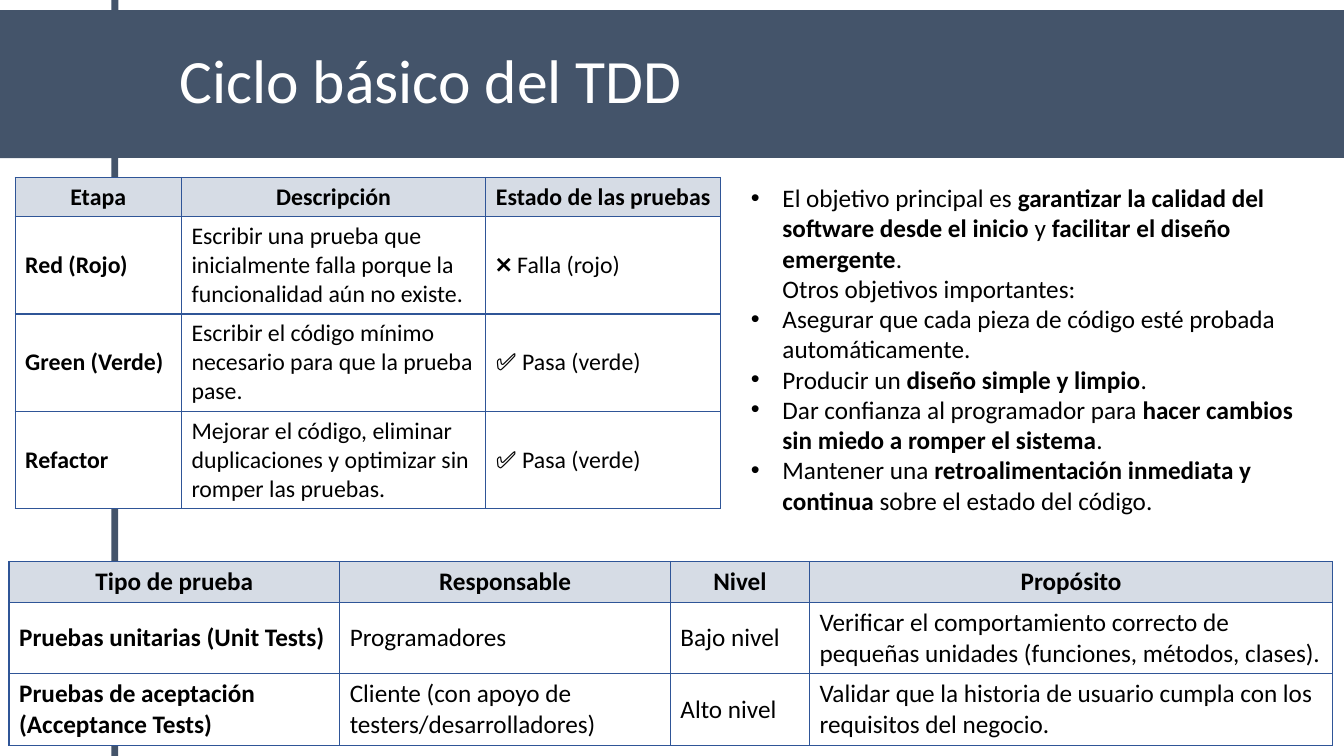
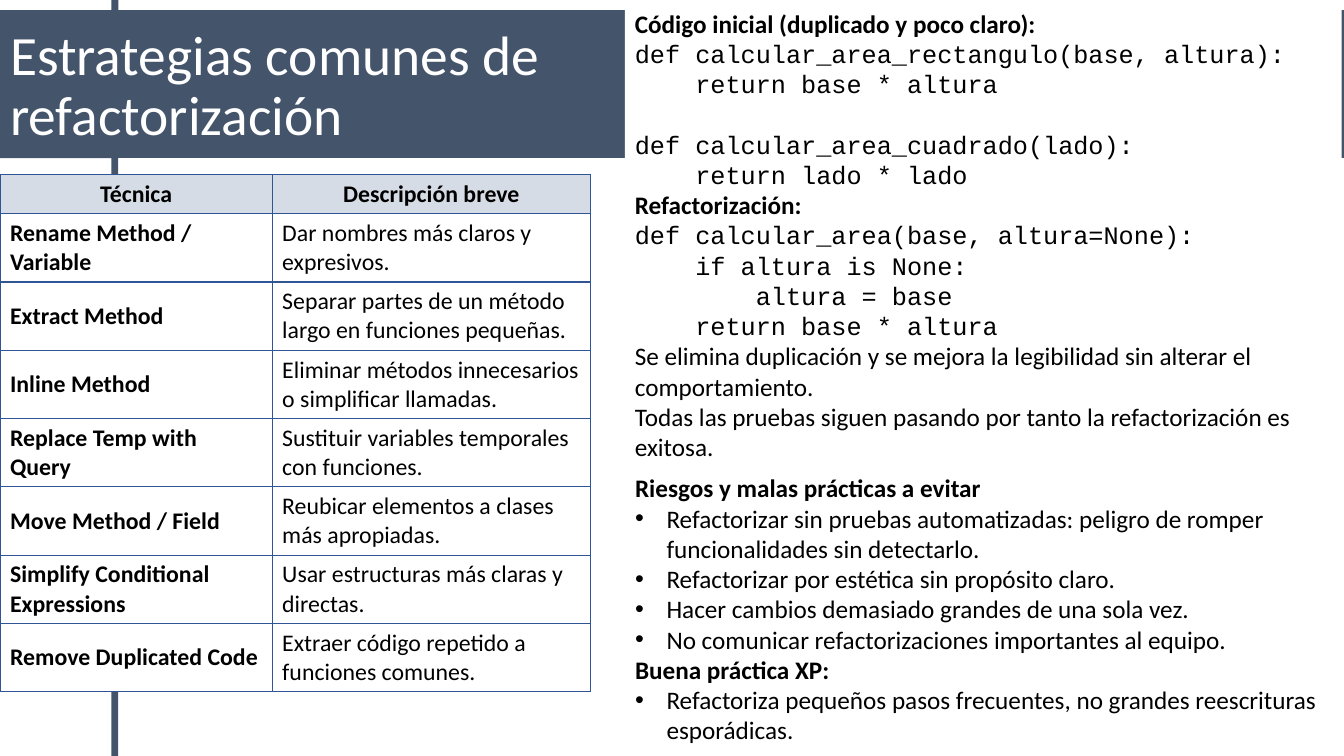
from dataclasses import dataclass

from lxml import etree
from pptx import Presentation
from pptx.dml.color import RGBColor as RGB
from pptx.enum.shapes import MSO_SHAPE as SHAPE
from pptx.enum.text import MSO_ANCHOR as ANCHOR, MSO_AUTO_SIZE as AUTO, PP_ALIGN as ALIGN
from pptx.oxml import parse_xml
from pptx.oxml.ns import nsdecls, qn
from pptx.util import Pt


@dataclass(frozen=True)
class Theme:
    slate: str = "44546A"
    header: str = "D6DCE5"
    border: str = "2F5597"
    white: str = "FFFFFF"
    black: str = "000000"
    font: str = "Calibri"
    mono: str = "Courier New"
    title: float = 44
    long_title: float = 39.6
    body: float = 18
    table: float = 17
    header_row: float = 27.4


T = Theme()
WIDTH, HEIGHT = 960, 540
BAND_TOP, BAND_BOTTOM = 7.2, 113
STEM_LEFT, STEM_WIDTH = 79.6, 5
BULLET_INDENT = 22.5
CODE_LINE = 21.6


def color(value):
    return RGB.from_string(value)


def place(sp, box):
    sp.left, sp.top, sp.width, sp.height = (Pt(v) for v in box)


def style_font(font, size, name=T.font, bold=False):
    font.size, font.name, font.bold = Pt(size), name, bold
    font.color.rgb = color(T.black)


# Shared layout: band, stem, panel and placeholder styles
def set_level_style(ph, paragraph, size, text_color):
    style = ph.text_frame._txBody.find(qn("a:lstStyle"))
    for child in list(style):
        style.remove(child)
    style.append(parse_xml(
        f'<a:lvl1pPr {nsdecls("a")} {paragraph}'
        f'<a:defRPr sz="{size * 100}" b="0"><a:solidFill><a:srgbClr val="{text_color}"/>'
        f'</a:solidFill><a:latin typeface="{T.font}"/></a:defRPr></a:lvl1pPr>'))


def build_layout(prs, slide):
    layout = slide.slide_layout
    parts = [
        ((0, BAND_TOP, WIDTH, BAND_BOTTOM - BAND_TOP), T.slate),
        ((STEM_LEFT, 0, STEM_WIDTH, HEIGHT), T.slate),
        ((STEM_LEFT + STEM_WIDTH, BAND_BOTTOM,
          WIDTH - STEM_LEFT - STEM_WIDTH, HEIGHT - BAND_BOTTOM), T.white),
    ]
    for i, (box, fill) in enumerate(parts):
        sp = slide.shapes.add_shape(SHAPE.RECTANGLE, *(Pt(v) for v in box))
        sp.shadow.inherit = False
        sp.fill.solid()
        sp.fill.fore_color.rgb = color(fill)
        sp.line.fill.background()
        sp.element.nvSpPr.cNvPr.id = 100 + i
        layout.shapes.element.insert(2 + i, sp.element)

    title, body = layout.placeholders[0], layout.placeholders[1]
    place(title, (121, 18.7, 788.4, 81.4))
    place(body, (529.2, 126.7, 416.2, 247))
    set_level_style(title, 'algn="l"><a:lnSpc><a:spcPct val="90000"/></a:lnSpc>',
                    T.title, T.white)
    indent = Pt(BULLET_INDENT)
    set_level_style(body, f'marL="{indent}" indent="-{indent}">'
                    '<a:spcBef><a:spcPts val="0"/></a:spcBef>'
                    '<a:buFont typeface="Arial"/><a:buChar char="•"/>', T.body, T.black)


def add_title(slide, text, box=None, size=None):
    title = slide.shapes.title
    tf = title.text_frame
    tf.text = text
    tf.auto_size, tf.vertical_anchor = AUTO.NONE, ANCHOR.MIDDLE
    if box:
        place(title, box)
    if size:
        tf.paragraphs[0].runs[0].font.size = Pt(size)


# Lists: **bold** spans, line breaks, and "# " for headings without a bullet
def write_rich(p, text):
    for i, span in enumerate(text.split("**")):
        for j, line in enumerate(span.split("\n")):
            if j:
                p.add_line_break()
            if line:
                r = p.add_run()
                r.text = line
                style_font(r.font, T.body, bold=i % 2 == 1)


def add_list(slide, items, box):
    body = slide.placeholders[1]
    place(body, box)
    tf = body.text_frame
    tf.auto_size = AUTO.NONE
    for i, item in enumerate(items):
        p = tf.add_paragraph() if i else tf.paragraphs[0]
        if item.startswith("# "):
            pPr = p._p.get_or_add_pPr()
            pPr.set("marL", "0")
            pPr.set("indent", "0")
            etree.SubElement(pPr, qn("a:buNone"))
            item = f"**{item[2:]}**"
        write_rich(p, item)


# Tables: shaded header row, bold first column
def add_borders(cell):
    tcPr = cell._tc.get_or_add_tcPr()
    for side in ("lnL", "lnR", "lnT", "lnB"):
        tcPr.append(parse_xml(
            f'<a:{side} {nsdecls("a")} w="{Pt(1)}"><a:solidFill>'
            f'<a:srgbClr val="{T.border}"/></a:solidFill></a:{side}>'))


def add_grid(slide, left, top, height, widths, rows, size=T.table, header=T.header_row):
    table = slide.shapes.add_table(len(rows), len(widths), Pt(left), Pt(top),
                                   Pt(sum(widths)), Pt(height)).table
    for column, width in zip(table.columns, widths):
        column.width = Pt(width)
    for i, row in enumerate(rows):
        table.rows[i].height = Pt((height - header) / (len(rows) - 1) if i else header)
        for j, text in enumerate(row):
            cell = table.cell(i, j)
            add_borders(cell)
            cell.fill.solid()
            cell.fill.fore_color.rgb = color(T.white if i else T.header)
            cell.vertical_anchor = ANCHOR.MIDDLE
            p = cell.text_frame.paragraphs[0]
            p.text = text
            p.alignment = ALIGN.LEFT if i else ALIGN.CENTER
            style_font(p.runs[0].font, size, bold=i == 0 or j == 0)


# Code panel: headings, code and remarks over a white box
def add_code_panel(slide, sections, box):
    sp = slide.shapes.add_textbox(*(Pt(v) for v in box))
    sp.fill.solid()
    sp.fill.fore_color.rgb = color(T.white)
    tf = sp.text_frame
    tf.word_wrap = True
    lines = [(kind, line) for kind, text in sections for line in text.split("\n")]
    p, gap = tf.paragraphs[0], 0
    for i, (kind, line) in enumerate(lines):
        if not line:
            gap = CODE_LINE
            continue
        if i:
            p = tf.add_paragraph()
            p.space_before = Pt(gap)
        gap = 0
        p.text = line
        p.line_spacing = Pt(CODE_LINE)
        style_font(p.runs[0].font, T.body, T.mono if kind == "code" else T.font,
                   kind == "heading")


def build_cycle(slide):
    add_title(slide, "Ciclo básico del TDD")
    add_grid(slide, 10.8, 126.7, 235, (118.8, 217.4, 167.8), [
        ("Etapa", "Descripción", "Estado de las pruebas"),
        ("Red (Rojo)", "Escribir una prueba que inicialmente falla porque la "
         "funcionalidad aún no existe.", "❌ Falla (rojo)"),
        ("Green (Verde)", "Escribir el código mínimo necesario para que la prueba pase.",
         "✅ Pasa (verde)"),
        ("Refactor", "Mejorar el código, eliminar duplicaciones y optimizar sin "
         "romper las pruebas.", "✅ Pasa (verde)"),
    ])
    add_list(slide, [
        "El objetivo principal es **garantizar la calidad del software desde el inicio** y "
        "**facilitar el diseño emergente**.\nOtros objetivos importantes:",
        "Asegurar que cada pieza de código esté probada automáticamente.",
        "Producir un **diseño simple y limpio**.",
        "Dar confianza al programador para **hacer cambios sin miedo a romper el sistema**.",
        "Mantener una **retroalimentación inmediata y continua** sobre el estado del código.",
    ], (529.2, 126.7, 416.2, 247))
    add_grid(slide, 6.5, 401, 129.6, (236.2, 236.2, 99.4, 373.7), [
        ("Tipo de prueba", "Responsable", "Nivel", "Propósito"),
        ("Pruebas unitarias (Unit Tests)", "Programadores", "Bajo nivel",
         "Verificar el comportamiento correcto de pequeñas unidades "
         "(funciones, métodos, clases)."),
        ("Pruebas de aceptación (Acceptance Tests)",
         "Cliente (con apoyo de testers/desarrolladores)", "Alto nivel",
         "Validar que la historia de usuario cumpla con los requisitos del negocio."),
    ], T.body, 29.2)


def build_refactoring(slide):
    add_title(slide, "Estrategias comunes de refactorización",
              (0, 21.6, 468.7, 81.4), T.long_title)
    add_grid(slide, 0, 124.6, 366, (194.4, 227.5), [
        ("Técnica", "Descripción breve"),
        ("Rename Method / Variable", "Dar nombres más claros y expresivos."),
        ("Extract Method", "Separar partes de un método largo en funciones pequeñas."),
        ("Inline Method", "Eliminar métodos innecesarios o simplificar llamadas."),
        ("Replace Temp with Query", "Sustituir variables temporales con funciones."),
        ("Move Method / Field", "Reubicar elementos a clases más apropiadas."),
        ("Simplify Conditional Expressions", "Usar estructuras más claras y directas."),
        ("Remove Duplicated Code", "Extraer código repetido a funciones comunes."),
    ])
    add_code_panel(slide, [
        ("heading", "Código inicial (duplicado y poco claro):"),
        ("code", """def calcular_area_rectangulo(base, altura):
    return base * altura

def calcular_area_cuadrado(lado):
    return lado * lado"""),
        ("heading", "Refactorización:"),
        ("code", """def calcular_area(base, altura=None):
    if altura is None:
        altura = base
    return base * altura"""),
        ("remark", "Se elimina duplicación y se mejora la legibilidad sin alterar "
         "el comportamiento."),
        ("remark", "Todas las pruebas siguen pasando por tanto la refactorización "
         "es exitosa."),
    ], (446.4, 2.2, 511.9, 334))
    add_list(slide, [
        "# Riesgos y malas prácticas a evitar",
        "Refactorizar sin pruebas automatizadas: peligro de romper funcionalidades "
        "sin detectarlo.",
        "Refactorizar por estética sin propósito claro.",
        "Hacer cambios demasiado grandes de una sola vez.",
        "No comunicar refactorizaciones importantes al equipo.",
        "# Buena práctica XP:",
        "Refactoriza pequeños pasos frecuentes, no grandes reescrituras esporádicas.",
    ], (446.4, 334, 512.6, 203.8))


def main():
    prs = Presentation()
    prs.slide_width, prs.slide_height = Pt(WIDTH), Pt(HEIGHT)
    cycle, refactoring = (prs.slides.add_slide(prs.slide_layouts[1]) for _ in range(2))
    build_layout(prs, cycle)
    build_cycle(cycle)
    build_refactoring(refactoring)
    prs.save("out.pptx")


if __name__ == "__main__":
    main()
